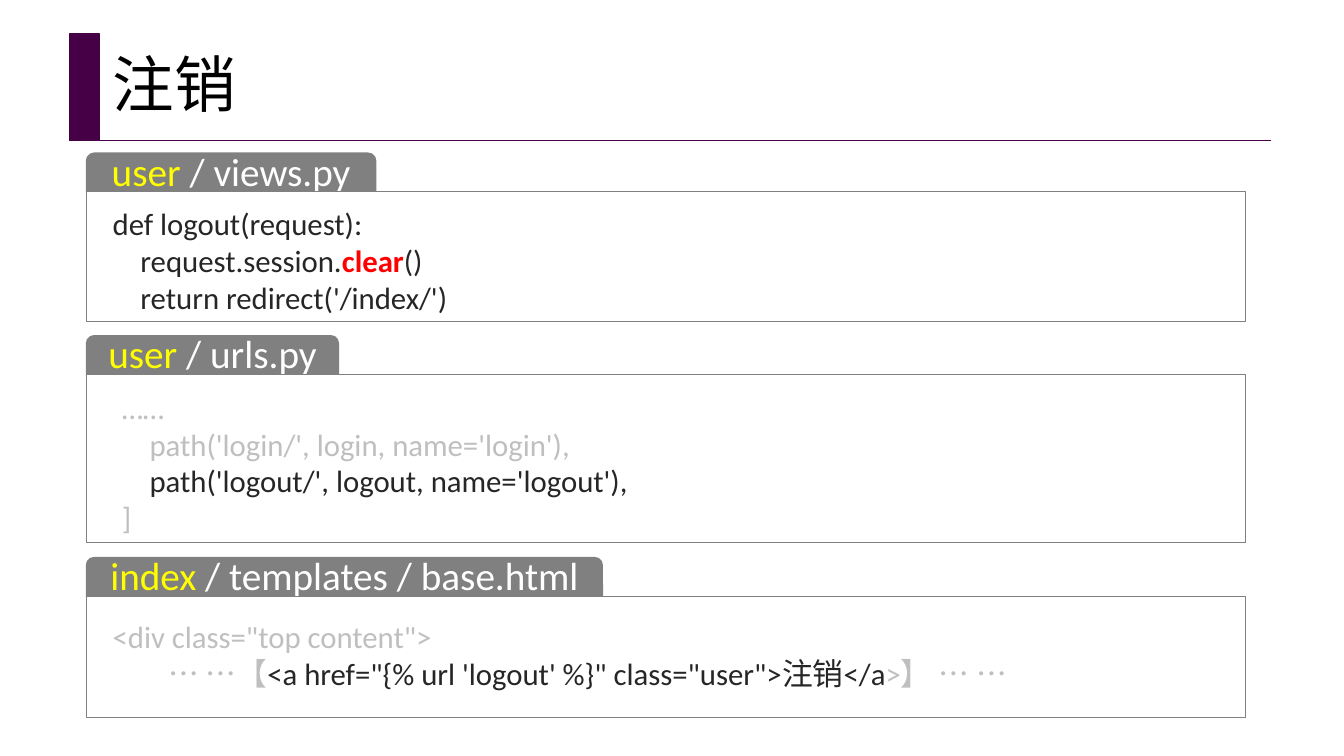
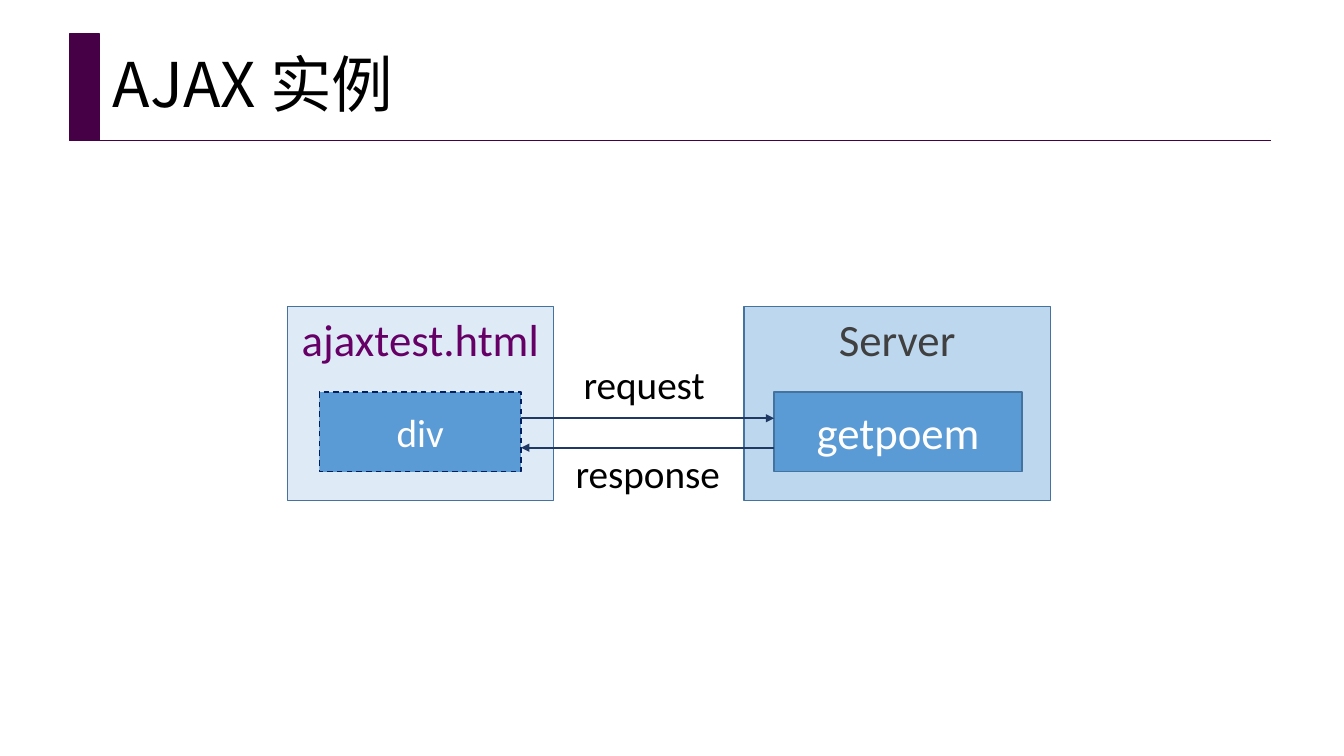
from typing import NamedTuple

from lxml import etree
from pptx import Presentation
from pptx.dml.color import RGBColor
from pptx.enum import dml, shapes, text
from pptx.oxml import ns
from pptx.util import Cm, Pt

LATIN = "Calibri"
CJK = "Noto Sans CJK SC"
PURPLE = RGBColor(0x46, 0x00, 0x46)
PLUM = RGBColor(0x66, 0x00, 0x66)
BLACK = RGBColor(0x00, 0x00, 0x00)
WHITE = RGBColor(0xFF, 0xFF, 0xFF)
GRAY = RGBColor(0x80, 0x80, 0x80)
DIM = RGBColor(0xBF, 0xBF, 0xBF)
INK = RGBColor(0x26, 0x26, 0x26)
SLATE = RGBColor(0x40, 0x40, 0x40)
YELLOW = RGBColor(0xFF, 0xFF, 0x00)
RED = RGBColor(0xFF, 0x00, 0x00)
PALE_BLUE = RGBColor(0xDE, 0xEB, 0xF7)
LIGHT_BLUE = RGBColor(0xBD, 0xD7, 0xEE)
BLUE = RGBColor(0x5B, 0x9B, 0xD5)
EDGE_BLUE = RGBColor(0x43, 0x73, 0x9E)
NAVY = RGBColor(0x00, 0x20, 0x60)
ARROW_BLUE = RGBColor(0x20, 0x38, 0x64)

RECTANGLE = shapes.MSO_SHAPE.RECTANGLE
TAB = shapes.MSO_SHAPE.ROUNDED_RECTANGLE
LEFT = text.PP_ALIGN.LEFT
CENTER = text.PP_ALIGN.CENTER
TOP = text.MSO_ANCHOR.TOP
MIDDLE = text.MSO_ANCHOR.MIDDLE
CODE_INDENT = 0.7


class Box(NamedTuple):
    left: float
    top: float
    width: float
    height: float

    def inner(self, left, top, width, height):
        return Box(self.left + left, self.top + top, width, height)

    def lengths(self):
        return [Cm(value) for value in self]


class Span(NamedTuple):
    words: str
    color: RGBColor
    bold: bool = False


class Line(NamedTuple):
    spans: list
    level: int = 0


def format_span(span, size, color, font=LATIN, bold=False):
    span.font.name = font
    span.font.size = Pt(size)
    span.font.bold = bold
    span.font.color.rgb = color
    east_asian = etree.SubElement(span.font._element, ns.qn("a:ea"))
    east_asian.set("typeface", CJK)


def write_lines(frame, lines, size, align=LEFT):
    for index, line in enumerate(lines):
        para = frame.add_paragraph() if index else frame.paragraphs[0]
        para.alignment = align
        if line.level:
            properties = para._p.get_or_add_pPr()
            properties.set("marL", str(Cm(CODE_INDENT * line.level)))
            properties.set("indent", "0")
        for words, color, bold in line.spans:
            span = para.add_run()
            span.text = words
            format_span(span, size, color, bold=bold)


def add_block(canvas, box, fill, edge, weight=1, kind=RECTANGLE):
    block = canvas.add_shape(kind, *box.lengths())
    block.shadow.inherit = False
    block.fill.solid()
    block.fill.fore_color.rgb = fill
    block.line.color.rgb = edge
    block.line.width = Pt(weight)
    return block


def add_caption(block, words, size, color, anchor):
    frame = block.text_frame
    frame.vertical_anchor = anchor
    write_lines(frame, [Line([Span(words, color)])], size, CENTER)


def add_text(canvas, box, lines, size, align=LEFT, wrap=True):
    label = canvas.add_textbox(*box.lengths())
    frame = label.text_frame
    frame.word_wrap = wrap
    frame.auto_size = text.MSO_AUTO_SIZE.SHAPE_TO_FIT_TEXT
    write_lines(frame, lines, size, align)


def add_line(canvas, start, end, color, weight, arrow=False):
    ends = [Cm(value) for value in (*start, *end)]
    line = canvas.add_connector(shapes.MSO_CONNECTOR.STRAIGHT, *ends)
    line.line.color.rgb = color
    line.line.width = Pt(weight)
    if arrow:
        tip = etree.SubElement(line.line._get_or_add_ln(), ns.qn("a:tailEnd"))
        tip.set("type", "triangle")
    etree.SubElement(line._element.spPr, ns.qn("a:effectLst"))


def add_header(page, box, words):
    header = page.shapes.add_group_shape().shapes
    add_block(header, box.inner(0, 0, 0.76, box.height), PURPLE, PURPLE)
    baseline = box.top + box.height - 0.02
    add_line(header, (box.left + 0.38, baseline),
             (box.left + box.width, baseline), PURPLE, 0.5)

    title = page.shapes.title
    place = box.inner(0.84, 0.1, 29.21, 2.51).lengths()
    title.left, title.top, title.width, title.height = place
    frame = title.text_frame
    frame.text = words
    frame.word_wrap = True
    frame.auto_size = text.MSO_AUTO_SIZE.NONE
    frame.vertical_anchor = MIDDLE
    para = frame.paragraphs[0]
    para.alignment = LEFT
    para.line_spacing = 0.9
    format_span(para.runs[0], 44, BLACK, CJK)


def add_page(deck, words):
    page = deck.slides.add_slide(deck.slide_layouts[5])
    add_header(page, Box(1.75, 0.86, 30.28, 2.69), words)
    return page


def add_code_panel(page, box, tab_width, app, file_name, code_box, lines):
    panel = page.shapes.add_group_shape().shapes
    tab = add_block(panel, box.inner(0, 0, tab_width, 1.17), GRAY, GRAY, kind=TAB)
    frame = tab.text_frame
    frame.margin_top, frame.margin_bottom = 0, Cm(0.3)
    frame.vertical_anchor = MIDDLE
    heading = Line([Span(app, YELLOW), Span(" / " + file_name, WHITE)])
    write_lines(frame, [heading], 28, CENTER)
    body = box.inner(0, 0.97, box.width, box.height - 0.97)
    add_block(panel, body, WHITE, GRAY, 0.75)
    add_text(panel, body.inner(*code_box), lines, 22)


def add_host(canvas, box, words, color, fill):
    host = add_block(canvas, box, fill, EDGE_BLUE)
    add_caption(host, words, 32, color, TOP)


def add_part(canvas, box, words, size, edge):
    part = add_block(canvas, box, BLUE, edge)
    add_caption(part, words, size, WHITE, MIDDLE)
    return part


def add_exchange(page, box):
    diagram = page.shapes.add_group_shape().shapes
    client = box.inner(0, 0, 6.71, box.height)
    server = box.inner(box.width - 7.72, 0, 7.72, box.height)
    target = client.inner(0.81, 2.16, 5.08, 2.01)
    handler = server.inner(0.76, 2.16, 6.25, 2.01)
    add_host(diagram, client, "ajaxtest.html", PLUM, PALE_BLUE)
    add_host(diagram, server, "Server", SLATE, LIGHT_BLUE)
    part = add_part(diagram, target, "div", 28, NAVY)
    part.line.dash_style = dml.MSO_LINE.DASH
    add_part(diagram, handler, "getpoem", 32, EDGE_BLUE)

    near, far = target.left + target.width, handler.left
    messages = [
        ("request", near, far, 2.82, (7.19, 1.24, 3.61, 1.45)),
        ("response", far, near, 3.56, (6.99, 3.48, 4.19, 1.45)),
    ]
    for words, start, end, drop, label in messages:
        height = box.top + drop
        add_line(diagram, (start, height), (end, height), ARROW_BLUE, 1.5, True)
        add_text(diagram, box.inner(*label), [Line([Span(words, BLACK)])],
                 28, CENTER, wrap=False)


def build_logout_page(deck):
    page = add_page(deck, "注销")
    views = [
        Line([Span("def logout(request):", INK)]),
        Line([Span("request.session.", INK), Span("clear", RED, True),
              Span("()", INK)], 1),
        Line([Span("return redirect('/index/')", INK)], 1),
    ]
    urls = [
        Line([Span("……", DIM)]),
        Line([Span("path('login/', login, name='login'),", DIM)], 1),
        Line([Span("path('logout/', logout, name='logout'),", INK)], 1),
        Line([Span("]", DIM)]),
    ]
    base = [
        Line([Span('<div class="top content">', DIM)]),
        Line([Span("… …【", DIM),
              Span("<a href=\"{% url 'logout' %}\" class=\"user\">注销</a", INK),
              Span(">】 … …", DIM)], 2),
    ]
    panels = [
        (3.86, 4.25, 7.29, "user", "views.py", (0.41, 0.2, 28.52, 3.07), views),
        (8.46, 5.21, 6.35, "user", "urls.py", (0.64, 0.23, 16.94, 4.01), urls),
        (14.05, 4.02, 13, "index", "templates / base.html",
         (0.41, 0.43, 28.52, 2.13), base),
    ]
    for top, height, *content in panels:
        add_code_panel(page, Box(2.18, top, 29.21, height), *content)


def build_ajax_page(deck):
    page = add_page(deck, "AJAX 实例")
    add_exchange(page, Box(7.24, 7.72, 19.23, 4.9))


def main():
    deck = Presentation()
    deck.slide_width = Cm(33.87)
    deck.slide_height = Cm(19.05)
    build_logout_page(deck)
    build_ajax_page(deck)
    deck.save("out.pptx")


if __name__ == "__main__":
    main()
